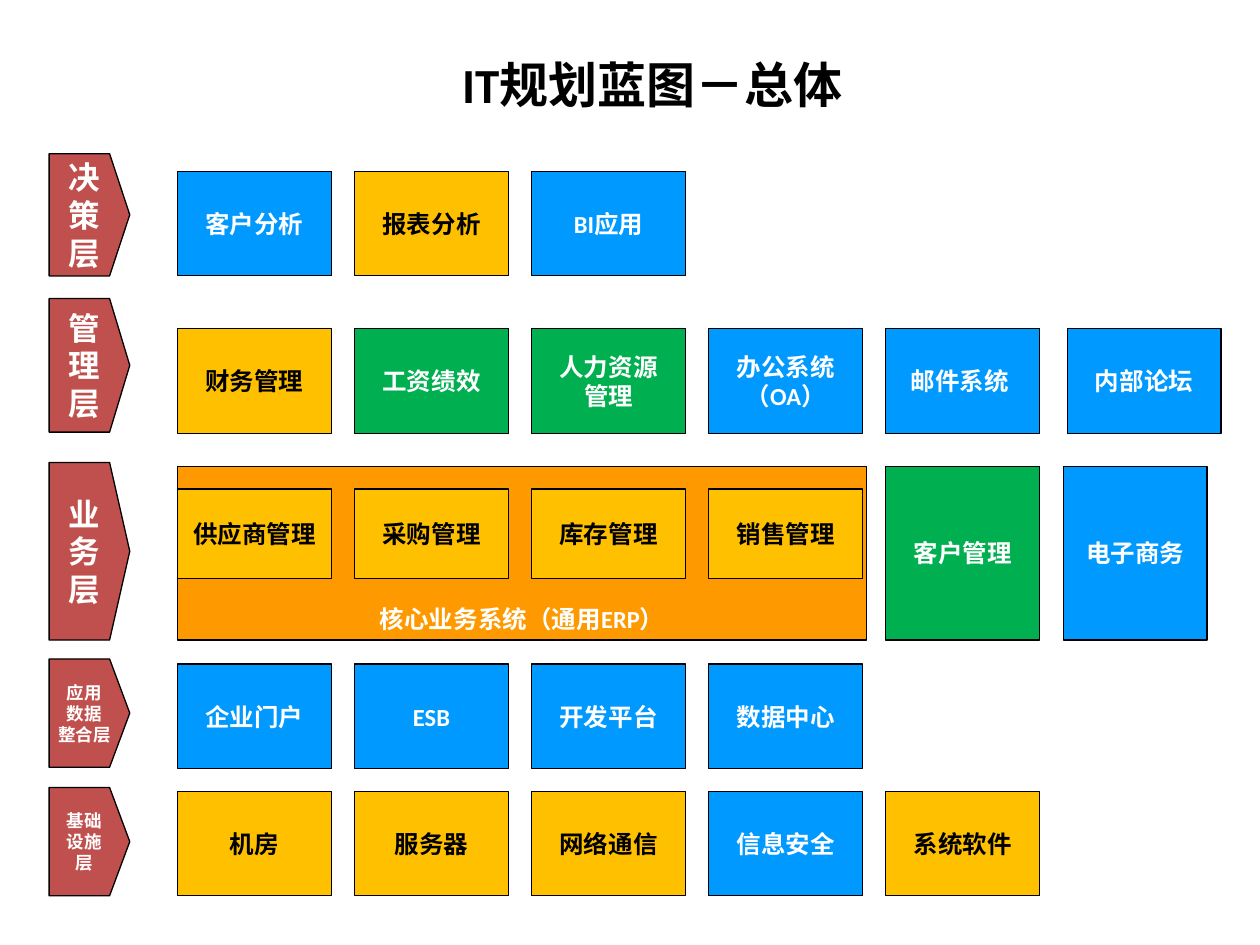
from pptx import Presentation
from pptx.dml.color import RGBColor
from pptx.enum.shapes import MSO_SHAPE
from pptx.enum.text import MSO_ANCHOR, PP_ALIGN
from pptx.util import Inches, Pt

RECT, PENTAGON = MSO_SHAPE.RECTANGLE, MSO_SHAPE.PENTAGON
MIDDLE, BOTTOM = MSO_ANCHOR.MIDDLE, MSO_ANCHOR.BOTTOM
CENTER = PP_ALIGN.CENTER

COLORS = {
    "black": "000000", "white": "FFFFFF", "red": "C0504D", "orange": "FF9900",
    "yellow": "FFC000", "green": "00B050", "blue": "0099FF",
}
GRID_LEFT, PITCH, BOX_WIDTH = 1.41, 1.405, 1.22
BOX_HEIGHT, MODULE_HEIGHT, CORE_HEIGHT = 0.83, 0.71, 1.38


class Blueprint:
    """Holds the slide and the style shared by its elements."""

    font = "Calibri"

    def __init__(self, slide):
        """Keep the slide to draw on."""
        self.slide = slide

    def color(self, name):
        """Return a named colour."""
        return RGBColor.from_string(COLORS[name])

    def label(self, shape, text, size, color, anchor=MIDDLE, wrap=False):
        """Set centred bold text, one paragraph per line."""
        frame = shape.text_frame
        frame.text = text
        frame.word_wrap = wrap
        frame.vertical_anchor = anchor
        for paragraph in frame.paragraphs:
            paragraph.alignment = CENTER
            for run in paragraph.runs:
                run.font.name = self.font
                run.font.size = Pt(size)
                run.font.bold = True
                run.font.color.rgb = self.color(color)

    def title(self, text, left, top, width, height):
        """Add the slide heading."""
        heading = self.slide.shapes.add_textbox(
            Inches(left), Inches(top), Inches(width), Inches(height))
        self.label(heading, text, 28, "black", wrap=True)

    def box(self, text, fill, left, top, width=BOX_WIDTH, height=BOX_HEIGHT,
            kind=RECT, size=14, anchor=MIDDLE):
        """Add an outlined shape with a label."""
        shape = self.slide.shapes.add_shape(
            kind, Inches(left), Inches(top), Inches(width), Inches(height))
        shape.shadow.inherit = False
        shape.fill.solid()
        shape.fill.fore_color.rgb = self.color(fill)
        shape.line.color.rgb = self.color("black")
        shape.line.width = Pt(0.75)
        text_color = "black" if fill == "yellow" else "white"
        self.label(shape, text, size, text_color, anchor)
        return shape

    def layer(self, text, top, height, size):
        """Add the pentagon that names a layer."""
        tag = self.box(text, "red", 0.39, top, 0.64, height, PENTAGON, size)
        tag.adjustments[0] = 0.25

    def row(self, systems, top, height=BOX_HEIGHT):
        """Add systems side by side on the column grid."""
        for column, (text, fill) in enumerate(systems):
            self.box(text, fill, GRID_LEFT + column * PITCH, top, height=height)


LAYERS = [
    ("决\n策\n层", 1.22, 0.97, 18),
    ("管\n理\n层", 2.37, 1.06, 18),
    ("业\n务\n层", 3.67, 1.41, 18),
    ("应用\n数据\n整合层", 5.23, 0.86, 10),
    ("基础\n设施\n层", 6.25, 0.86, 10),
]
ROWS = [
    (1.36, BOX_HEIGHT, [("客户分析", "blue"), ("报表分析", "yellow"),
                        ("BI应用", "blue")]),
    (2.61, BOX_HEIGHT, [("财务管理", "yellow"), ("工资绩效", "green"),
                        ("人力资源\n管理", "green"),
                        ("办公系统\n（OA）", "blue"), ("邮件系统 ", "blue")]),
    (3.88, MODULE_HEIGHT, [("供应商管理", "yellow"), ("采购管理", "yellow"),
                           ("库存管理", "yellow"), ("销售管理", "yellow")]),
    (5.27, BOX_HEIGHT, [("企业门户", "blue"), ("ESB", "blue"),
                        ("开发平台", "blue"), ("数据中心", "blue")]),
    (6.28, BOX_HEIGHT, [("机房", "yellow"), ("服务器", "yellow"),
                        ("网络通信", "yellow"), ("信息安全", "blue"),
                        ("系统软件", "yellow")]),
]

presentation = Presentation()
presentation.slide_width, presentation.slide_height = Inches(10), Inches(7.5)
blueprint = Blueprint(
    presentation.slides.add_slide(presentation.slide_layouts[6]))

blueprint.title("IT规划蓝图－总体", 0.8, 0.32, 8.75, 0.69)
blueprint.box("核心业务系统（通用ERP）", "orange", GRID_LEFT, 3.7, 5.47,
              CORE_HEIGHT, anchor=BOTTOM)
for name, top, height, size in LAYERS:
    blueprint.layer(name, top, height, size)
for top, height, systems in ROWS:
    blueprint.row(systems, top, height)
blueprint.box("内部论坛", "blue", 8.47, 2.61)
blueprint.box("客户管理", "green", 7.03, 3.7, height=CORE_HEIGHT)
blueprint.box("电子商务", "blue", 8.44, 3.7, 1.14, CORE_HEIGHT)

presentation.save("out.pptx")
